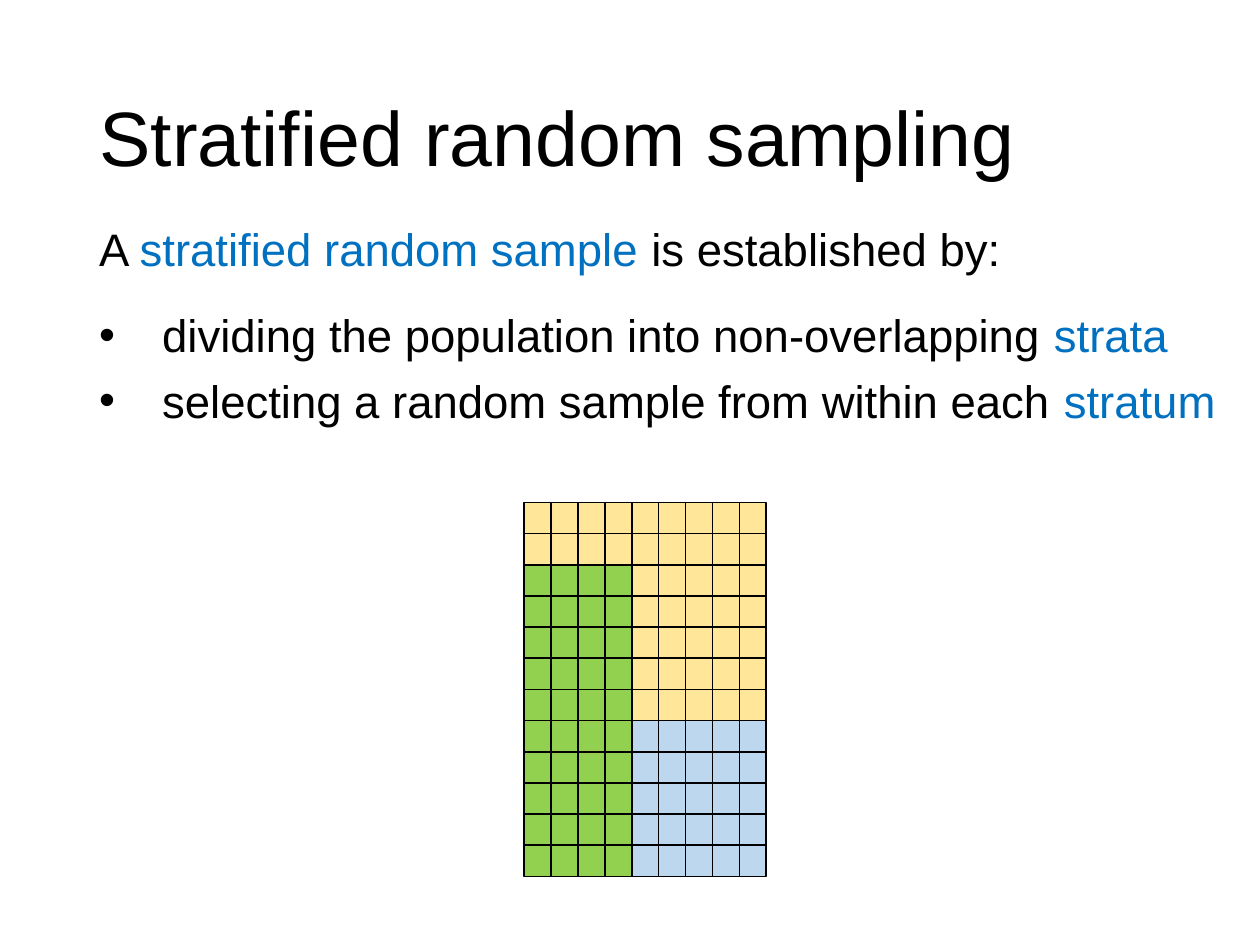
from dataclasses import dataclass

from lxml import etree
from pptx import Presentation
from pptx.dml.color import RGBColor
from pptx.enum.shapes import MSO_SHAPE
from pptx.enum.text import MSO_ANCHOR, MSO_AUTO_SIZE, PP_ALIGN
from pptx.oxml.ns import qn
from pptx.util import Cm, Pt

RECT = MSO_SHAPE.RECTANGLE
MIDDLE = MSO_ANCHOR.MIDDLE
NO_FIT = MSO_AUTO_SIZE.NONE
GROW = MSO_AUTO_SIZE.SHAPE_TO_FIT_TEXT
LEFT = PP_ALIGN.LEFT

FONT = "Arial"
COLORS = {
    "text": "000000",
    "term": "0070C0",
    "yellow": "FFE699",
    "green": "92D050",
    "blue": "BDD7EE",
}
TITLE_ONLY = 5
TITLE = "Stratified random sampling"

# Population grid
COLS, ROWS = 9, 12
GRID_LEFT, GRID_TOP = Cm(10.56), Cm(10.13)
CELL_W, CELL_H = Cm(4.89) / COLS, Cm(7.54) / ROWS


@dataclass
class Line:
    phrases: list[tuple[str, str]]  # text and colour name
    space_after: int
    bullet: bool = False


@dataclass
class Stratum:
    color: str
    cols: range
    rows: range


LINES = [
    Line([("A ", "text"), ("stratified random sample ", "term"),
          ("is established by:", "text")], 18),
    Line([("dividing the population into non-overlapping ", "text"),
          ("strata", "term")], 6, True),
    Line([("selecting a random sample from within each ", "text"),
          ("stratum", "term")], 18, True),
]
STRATA = [
    Stratum("yellow", range(COLS), range(2)),
    Stratum("yellow", range(4, COLS), range(2, 7)),
    Stratum("green", range(4), range(2, ROWS)),
    Stratum("blue", range(4, COLS), range(7, ROWS)),
]


def rgb(name: str) -> RGBColor:
    return RGBColor.from_string(COLORS[name])


def format_run(r, size: int, color: str) -> None:
    r.font.name = FONT
    r.font.size = Pt(size)
    r.font.color.rgb = rgb(color)


def add_bullet(p) -> None:
    pPr = p._p.get_or_add_pPr()
    pPr.set("marL", str(Cm(1.27)))
    pPr.set("indent", str(Cm(-1.27)))
    etree.SubElement(pPr, qn("a:buFont")).set("typeface", FONT)
    etree.SubElement(pPr, qn("a:buChar")).set("char", "•")


def add_title(s) -> None:
    sp = s.shapes.title
    sp.left, sp.top, sp.width, sp.height = Cm(1.75), Cm(1.01), Cm(21.9), Cm(3.68)
    tf = sp.text_frame
    tf.text = TITLE
    tf.auto_size = NO_FIT
    tf.vertical_anchor = MIDDLE
    p = tf.paragraphs[0]
    p.alignment = LEFT
    p.line_spacing = 0.9
    format_run(p.runs[0], 44, "text")


def add_body(s) -> None:
    sp = s.shapes.add_textbox(Cm(1.75), Cm(4.34), Cm(23.16), Cm(4.45))
    tf = sp.text_frame
    tf.word_wrap = True
    tf.auto_size = GROW
    for i, line in enumerate(LINES):
        p = tf.add_paragraph() if i else tf.paragraphs[0]
        p.space_after = Pt(line.space_after)
        if line.bullet:
            add_bullet(p)
        for text, color in line.phrases:
            r = p.add_run()
            r.text = text
            format_run(r, 26, color)


def add_stratum(s, stratum: Stratum) -> None:
    for row in stratum.rows:
        for col in stratum.cols:
            sp = s.shapes.add_shape(
                RECT, round(GRID_LEFT + col * CELL_W),
                round(GRID_TOP + row * CELL_H), round(CELL_W), round(CELL_H))
            sp.shadow.inherit = False
            sp.fill.solid()
            sp.fill.fore_color.rgb = rgb(stratum.color)
            sp.line.color.rgb = rgb("text")
            sp.line.width = Pt(1)


def main() -> None:
    prs = Presentation()
    prs.slide_width, prs.slide_height = Cm(25.4), Cm(19.05)
    s = prs.slides.add_slide(prs.slide_layouts[TITLE_ONLY])
    add_title(s)
    add_body(s)
    for stratum in STRATA:
        add_stratum(s, stratum)
    prs.save("out.pptx")


if __name__ == "__main__":
    main()
